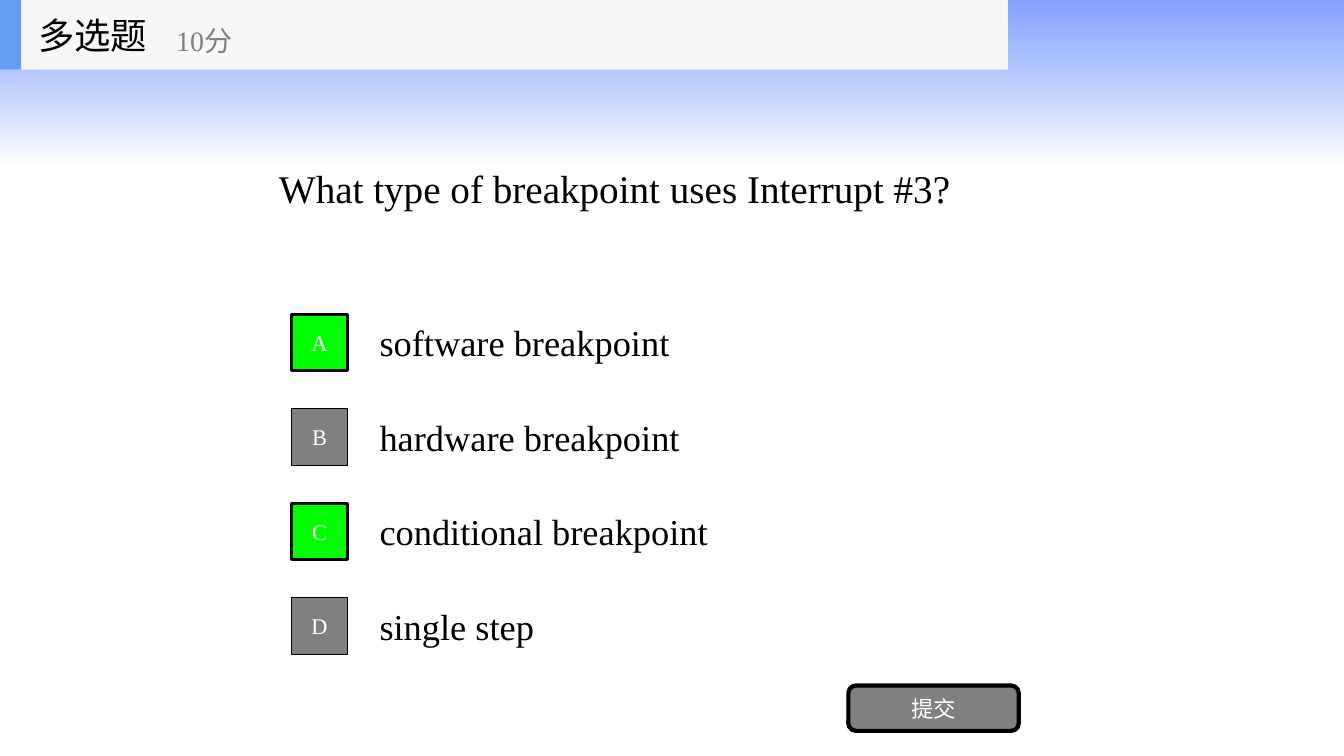
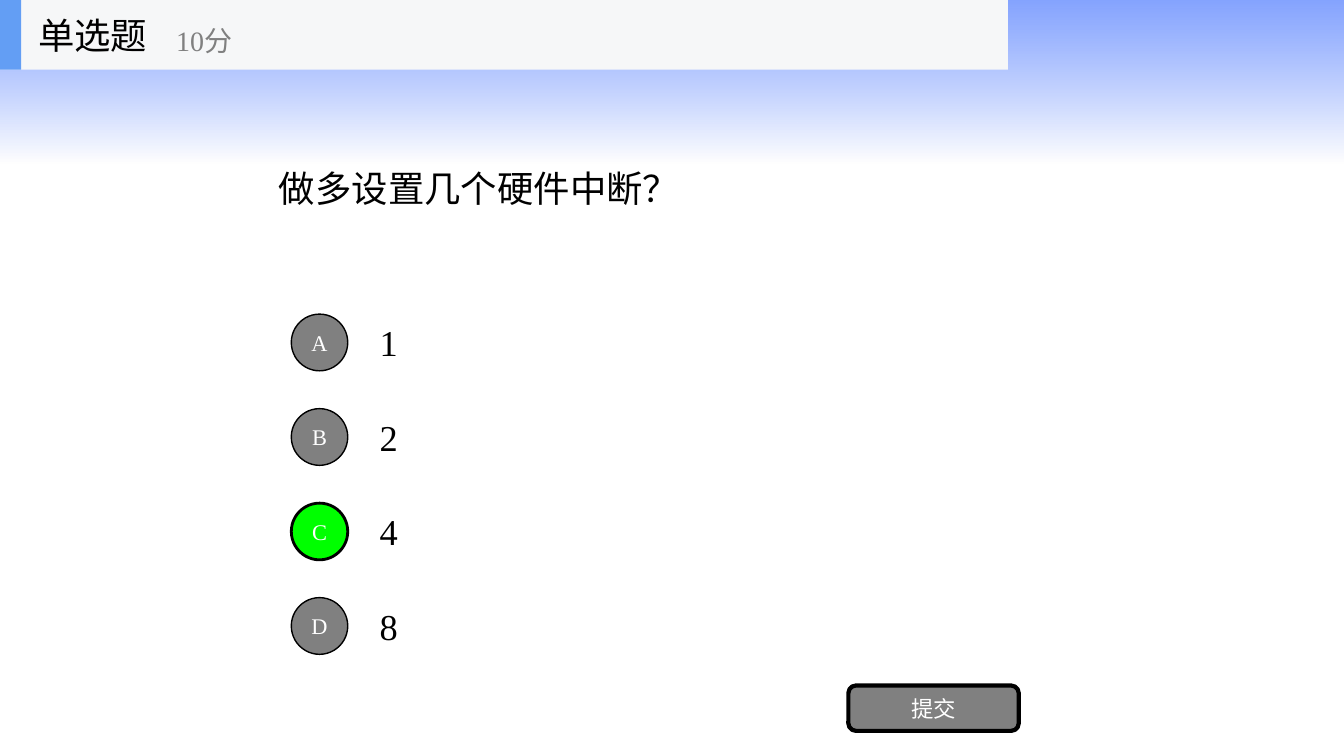
import dataclasses

import lxml.etree
import pptx
import pptx.dml.color
import pptx.enum.shapes
import pptx.enum.text
import pptx.oxml.ns
import pptx.util

RGBColor = pptx.dml.color.RGBColor
SHAPE = pptx.enum.shapes.MSO_SHAPE
ALIGN = pptx.enum.text.PP_ALIGN

BLACK = RGBColor(0x00, 0x00, 0x00)
WHITE = RGBColor(0xFF, 0xFF, 0xFF)
GREY = RGBColor(0x80, 0x80, 0x80)
CORRECT = RGBColor(0x00, 0xFF, 0x00)
BAND_BLUE = RGBColor(0x33, 0x66, 0xFF)
HEADER_FILL = RGBColor(0xF6, 0xF7, 0xF8)
HEADER_ACCENT = RGBColor(0x63, 0x9E, 0xF4)
FONT = "Times New Roman"

SLIDE_WIDTH = pptx.util.Inches(13.34)
SLIDE_HEIGHT = pptx.util.Inches(7.5)
GRID = 40
COLUMN = SLIDE_WIDTH / GRID
ROW = SLIDE_HEIGHT / GRID
OPTION_PITCH = 5


@dataclasses.dataclass
class Box:
    """A rectangle measured in grid columns and rows."""
    left: float
    top: float
    width: float
    height: float

    def inside(self, left, top, width, height):
        """Return a box whose corner is relative to this one."""
        return Box(self.left + left, self.top + top, width, height)

    def emu(self):
        """Return left, top, width and height in EMU."""
        return (round(self.left * COLUMN), round(self.top * ROW),
                round(self.width * COLUMN), round(self.height * ROW))


BAND = Box(0, 0, GRID, 8.64)
HEADER = Box(0, 0, 30, 3.68)
QUESTION = Box(8, 3.68, 24, 12.48)
OPTIONS = Box(8, 16.25, 24, 20)
SUBMIT = Box(25.25, 36.27, 5.07, 2.4)


def write(shape, text, size, color, align=ALIGN.LEFT):
    """Put one formatted, vertically centred line into a shape."""
    frame = shape.text_frame
    frame.text = text
    frame.word_wrap = True
    frame.auto_size = pptx.enum.text.MSO_AUTO_SIZE.NONE
    frame.vertical_anchor = pptx.enum.text.MSO_ANCHOR.MIDDLE
    paragraph = frame.paragraphs[0]
    paragraph.alignment = align
    for run in paragraph.runs:
        run.font.name = FONT
        run.font.size = pptx.util.Pt(size)
        run.font.color.rgb = color


def add_label(shapes, box, text, size, color):
    """Add a text box holding one line."""
    write(shapes.add_textbox(*box.emu()), text, size, color)


def add_block(shapes, kind, box, fill, outline=0):
    """Add a flat shape, outlined in black when a width is given."""
    block = shapes.add_shape(kind, *box.emu())
    block.shadow.inherit = False
    block.fill.solid()
    block.fill.fore_color.rgb = fill
    if outline:
        block.line.color.rgb = BLACK
        block.line.width = pptx.util.Pt(outline)
    else:
        block.line.fill.background()
    return block


def add_layout_band(slide, box):
    """Place the fading blue band behind everything on the slide's layout."""
    band = add_block(slide.shapes, SHAPE.RECTANGLE, box, BAND_BLUE)
    band.fill.gradient()
    band.fill.gradient_angle = 270
    for stop, position, color in zip(band.fill.gradient_stops, (0, 1), (BAND_BLUE, WHITE)):
        stop.position = position
        stop.color.rgb = color
    tints = list(band.element.iter(pptx.oxml.ns.qn("a:srgbClr")))
    for tint, opacity in zip(tints, (60, 70)):
        lxml.etree.SubElement(tint, pptx.oxml.ns.qn("a:alpha"), val=str(opacity * 1000))
    band.element.nvSpPr.cNvPr.set("id", "100")
    slide.slide_layout.shapes.element.insert(2, band.element)


def add_header(slide, box, category, score):
    """Draw the header strip with the question category and score."""
    header = slide.shapes.add_group_shape().shapes
    add_block(header, SHAPE.RECTANGLE, box, HEADER_FILL)
    add_block(header, SHAPE.RECTANGLE, box.inside(0, 0, 0.63, box.height), HEADER_ACCENT)
    add_label(header, box.inside(0.84, 0, 6.24, box.height), category, 26, BLACK)
    add_label(header, box.inside(4.95, 0.64, 7.5, 3), score, 20, GREY)


def add_question(slide, box, question, size):
    """Place the question in the title placeholder."""
    title = slide.shapes.title
    title.left, title.top, title.width, title.height = box.emu()
    write(title, question, size, BLACK)


def add_options(slide, box, options, answers, badge_kind):
    """List the lettered options, marking the right answers."""
    for index, (letter, option) in enumerate(zip("ABCD", options)):
        top = index * OPTION_PITCH
        add_label(slide.shapes, box.inside(3, top, 21, 3.73), option, 26, BLACK)
        right = letter in answers
        badge = add_block(slide.shapes, badge_kind, box.inside(0.67, top + 0.37, 1.68, 3),
                          CORRECT if right else GREY, 2 if right else 1)
        write(badge, letter, 16, WHITE, ALIGN.CENTER)


def add_submit(slide, box):
    """Draw the submit button."""
    button = add_block(slide.shapes, SHAPE.ROUNDED_RECTANGLE, box, GREY, 3)
    write(button, "提交", 16, WHITE, ALIGN.CENTER)


def add_quiz_slide(deck, layout, category, question, size, options, answers, badge_kind):
    """Build one quiz slide from its regions."""
    slide = deck.slides.add_slide(layout)
    add_question(slide, QUESTION, question, size)
    add_options(slide, OPTIONS, options, answers, badge_kind)
    add_submit(slide, SUBMIT)
    add_header(slide, HEADER, category, "10分")
    return slide


def main():
    """Build and save the quiz deck."""
    deck = pptx.Presentation()
    deck.slide_width, deck.slide_height = SLIDE_WIDTH, SLIDE_HEIGHT
    layout = deck.slide_layouts.get_by_name("Title Only")
    multiple_choice = add_quiz_slide(
        deck, layout, "多选题", "What type of breakpoint uses Interrupt #3?", 28,
        ("software breakpoint", "hardware breakpoint", "conditional breakpoint", "single step"),
        "AC", SHAPE.RECTANGLE)
    add_layout_band(multiple_choice, BAND)
    add_quiz_slide(
        deck, layout, "单选题", "做多设置几个硬件中断？", 26,
        ("1", "2", "4", "8"), "C", SHAPE.OVAL)
    deck.save("out.pptx")


if __name__ == "__main__":
    main()
